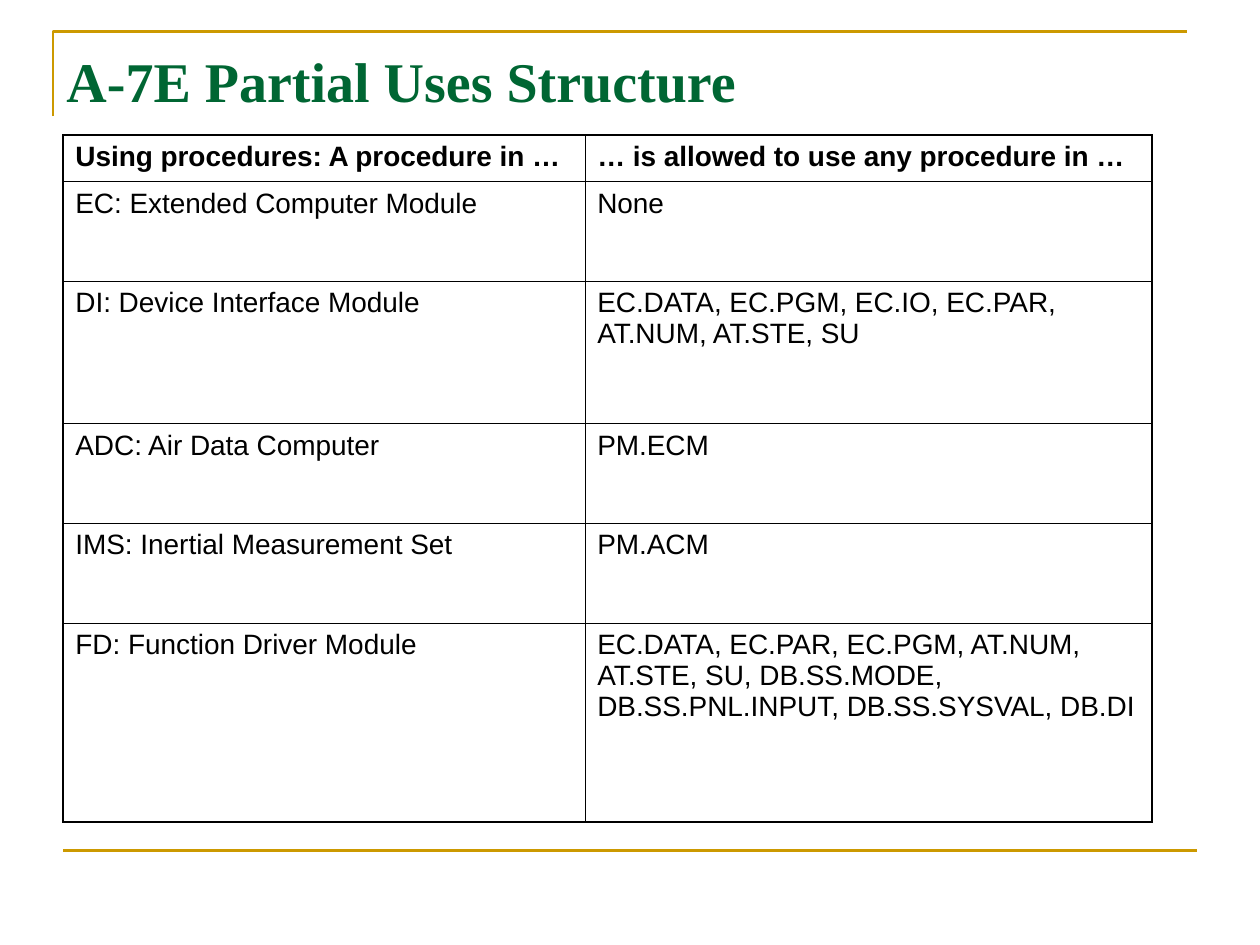
"""Build a slide with a ruled title and a table of allowed uses."""
from dataclasses import dataclass

from lxml.etree import SubElement as Sub
from pptx import Presentation
from pptx.dml.color import RGBColor
from pptx.enum.shapes import MSO_CONNECTOR as Link
from pptx.enum.text import MSO_ANCHOR as Anchor, PP_ALIGN as Align
from pptx.oxml.ns import qn
from pptx.slide import Slide
from pptx.table import _Cell as Cell
from pptx.util import Cm, Pt

GOLD = RGBColor(0xCC, 0x99, 0x00)
GREEN = RGBColor(0x00, 0x66, 0x33)
BLACK = RGBColor(0x00, 0x00, 0x00)

HEAD = dict(name="Times New Roman", size=Pt(32), bold=True)
BODY = dict(name="Arial", size=Pt(16), bold=False)
PAD = dict(margin_left=Cm(0.25), margin_right=Cm(0.25),
           margin_top=Cm(0.13), margin_bottom=Cm(0.13))
THIN, THICK = Pt(0.45), Pt(1.08)


@dataclass
class Row:
    user: str
    uses: str
    tall: float


ROWS = [
    Row("Using procedures: A procedure in …",
        "… is allowed to use any procedure in …", 0.94),
    Row("EC: Extended Computer Module", "None", 2.01),
    Row("DI: Device Interface Module",
        "EC.DATA, EC.PGM, EC.IO, EC.PAR, AT.NUM, AT.STE, SU", 2.87),
    Row("ADC: Air Data Computer", "PM.ECM", 2.01),
    Row("IMS: Inertial Measurement Set", "PM.ACM", 2.01),
    Row("FD: Function Driver Module",
        "EC.DATA, EC.PAR, EC.PGM, AT.NUM, AT.STE, SU, DB.SS.MODE, "
        "DB.SS.PNL.INPUT, DB.SS.SYSVAL, DB.DI", 4.01),
]
COLS = [10.52, 11.43]


def put(item: object, vals: dict) -> None:
    for key, val in vals.items():
        setattr(item, key, val)


def draw_rules(slide: Slide) -> None:
    pen = slide.shapes.build_freeform(Cm(1.07), Cm(2.34))
    pen.add_line_segments([(Cm(1.07), Cm(0.64)), (Cm(23.93), Cm(0.64))], close=False)
    frame = pen.convert_to_shape()
    frame.fill.background()
    frame.shadow.inherit = False
    foot = slide.shapes.add_connector(
        Link.STRAIGHT, Cm(1.27), Cm(17.15), Cm(24.13), Cm(17.15))
    for rule in (frame, foot):
        rule.line.color.rgb = GOLD
        rule.line.width = Pt(1.5)
    Sub(foot._element.spPr, qn("a:effectLst"))


def draw_title(slide: Slide, text: str) -> None:
    title = slide.shapes.title
    put(title, dict(left=Cm(1.09), top=Cm(0.71), width=Cm(22.86), height=Cm(1.8)))
    box = title.text_frame
    put(box, dict(PAD, text=text, word_wrap=True, vertical_anchor=Anchor.MIDDLE))
    par = box.paragraphs[0]
    par.alignment = Align.LEFT
    font = par.runs[0].font
    put(font, HEAD)
    font.color.rgb = GREEN
    slide.shapes._spTree.append(title._element)


def edge(cell: Cell, sides: dict) -> None:
    props = cell._tc.get_or_add_tcPr()
    for side, wide in sides.items():
        line = Sub(props, qn(f"a:ln{side}"), w=str(wide))
        Sub(Sub(line, qn("a:solidFill")), qn("a:srgbClr"), val=str(BLACK))


def draw_table(slide: Slide, rows: list[Row]) -> None:
    grid = slide.shapes.add_table(
        len(rows), len(COLS), Cm(1.27), Cm(2.72),
        Cm(sum(COLS)), Cm(sum(row.tall for row in rows))).table
    put(grid, dict(first_row=False, horz_banding=False))
    for col, wide in zip(grid.columns, COLS):
        col.width = Cm(wide)
    last = len(rows) - 1
    for i, row in enumerate(rows):
        grid.rows[i].height = Cm(row.tall)
        for j, text in enumerate((row.user, row.uses)):
            cell = grid.cell(i, j)
            put(cell, dict(PAD, text=text, vertical_anchor=Anchor.TOP))
            edge(cell, dict(L=THIN if j else THICK, R=THICK if j else THIN,
                            T=THIN if i else THICK, B=THICK if i == last else THIN))
            cell.fill.background()
            font = cell.text_frame.paragraphs[0].runs[0].font
            put(font, dict(BODY, bold=i == 0))
            font.color.rgb = BLACK


def main() -> None:
    deck = Presentation()
    put(deck, dict(slide_width=Cm(25.4), slide_height=Cm(19.05)))
    slide = deck.slides.add_slide(deck.slide_layouts[5])
    draw_rules(slide)
    draw_title(slide, "A-7E Partial Uses Structure")
    draw_table(slide, ROWS)
    deck.save("out.pptx")


if __name__ == "__main__":
    main()
